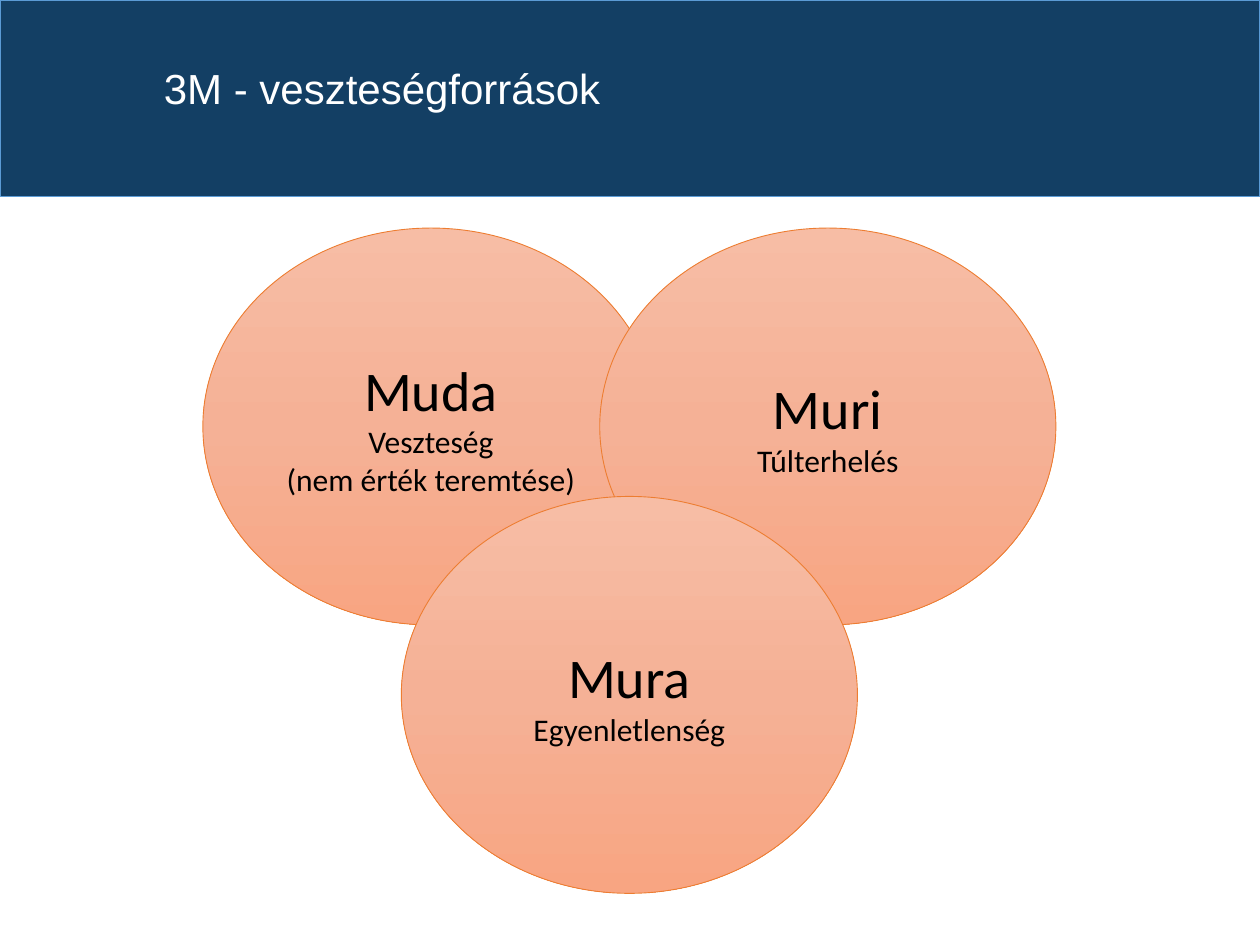
from copy import deepcopy
from dataclasses import dataclass

from pptx import Presentation
from pptx.dml.color import RGBColor
from pptx.enum.shapes import MSO_SHAPE
from pptx.enum.text import MSO_ANCHOR, PP_ALIGN
from pptx.oxml.ns import qn
from pptx.shapes.autoshape import Shape
from pptx.slide import Slide
from pptx.util import Inches, Pt


@dataclass(frozen=True)
class Theme:
    band: str = "133F64"
    edge: str = "5B9BD5"
    rim: str = "ED7D31"
    fade: tuple = ((0, "F7BDA5"), (0.5, "F5B196"), (1, "F8A582"))
    white: str = "FFFFFF"
    black: str = "000000"
    head: str = "Arial"
    body: str = "Calibri"
    title: int = 24
    term: int = 32
    note: int = 18
    line: float = 0.5


@dataclass(frozen=True)
class Loss:
    left: float
    top: float
    term: str
    notes: tuple


THEME = Theme()
WIDTH, HEIGHT = 3.62, 3.15
LEFT, TOP, STEP, DROP = 1.61, 1.81, 3.15, 2.13
LOSSES = (
    Loss(LEFT, TOP, "Muda", ("Veszteség", "(nem érték teremtése)")),
    Loss(LEFT + STEP, TOP, "Muri", ("Túlterhelés",)),
    Loss(LEFT + STEP / 2, TOP + DROP, "Mura", ("Egyenletlenség",)),
)


def style(item, **values) -> None:
    for name, value in values.items():
        setattr(item, name, value)


def color(code: str) -> RGBColor:
    return RGBColor.from_string(code)


def outline(shape: Shape, code: str) -> None:
    shape.shadow.inherit = False
    shape.line.color.rgb = color(code)
    shape.line.width = Pt(THEME.line)


def shade(shape: Shape) -> None:
    """Fill the shape with the three-stop fade, running downwards."""
    fill = shape.fill
    fill.gradient()
    fill.gradient_angle = 270
    stops = shape._element.spPr.find(qn("a:gradFill")).find(qn("a:gsLst"))
    stops.insert(1, deepcopy(stops[0]))
    for stop, (place, code) in zip(fill.gradient_stops, THEME.fade):
        stop.position = place
        stop.color.rgb = color(code)


def add_band(slide: Slide) -> None:
    band = slide.shapes.add_shape(
        MSO_SHAPE.RECTANGLE, 0, 0, Inches(10), Inches(1.56))
    band.fill.solid()
    band.fill.fore_color.rgb = color(THEME.band)
    outline(band, THEME.edge)
    slide.shapes._spTree.insert(2, band._element)  # behind the title


def set_title(slide: Slide, text: str) -> None:
    title = slide.shapes.title
    style(title, left=Inches(1.2), top=Inches(0.49),
          width=Inches(8.07), height=Inches(0.84))
    frame = title.text_frame
    frame.text = text
    style(frame, vertical_anchor=MSO_ANCHOR.TOP, word_wrap=True)
    para = frame.paragraphs[0]
    style(para, alignment=PP_ALIGN.LEFT, line_spacing=0.9)
    font = para.runs[0].font
    style(font, name=THEME.head, size=Pt(THEME.title))
    font.color.rgb = color(THEME.white)


def add_loss(slide: Slide, loss: Loss) -> None:
    oval = slide.shapes.add_shape(
        MSO_SHAPE.OVAL, Inches(loss.left), Inches(loss.top),
        Inches(WIDTH), Inches(HEIGHT))
    shade(oval)
    outline(oval, THEME.rim)
    frame = oval.text_frame
    style(frame, word_wrap=False, vertical_anchor=MSO_ANCHOR.MIDDLE)
    frame.text = "\n".join((loss.term, *loss.notes))
    for rank, para in enumerate(frame.paragraphs):
        para.alignment = PP_ALIGN.CENTER
        font = para.runs[0].font
        style(font, name=THEME.body,
              size=Pt(THEME.note if rank else THEME.term))
        font.color.rgb = color(THEME.black)


def main() -> None:
    deck = Presentation()
    style(deck, slide_width=Inches(10), slide_height=Inches(7.5))
    slide = deck.slides.add_slide(deck.slide_layouts[5])
    add_band(slide)
    set_title(slide, "3M - veszteségforrások")
    for loss in LOSSES:
        add_loss(slide, loss)
    deck.save("out.pptx")


if __name__ == "__main__":
    main()
